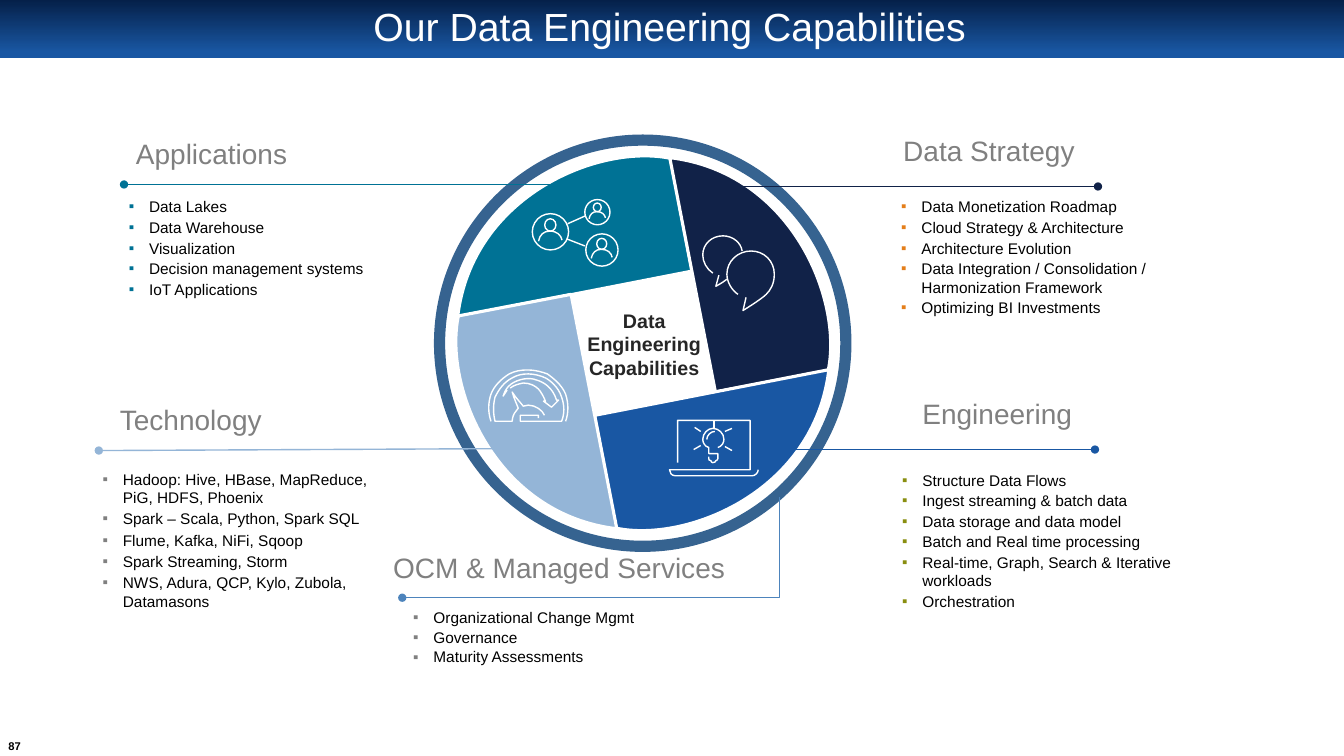
from lxml.etree import Element, SubElement
from pptx import Presentation
from pptx.dml.color import RGBColor
from pptx.enum.shapes import MSO_CONNECTOR, MSO_SHAPE
from pptx.enum.text import MSO_ANCHOR, PP_ALIGN
from pptx.oxml.ns import qn
from pptx.util import Inches, Pt

WHITE = RGBColor(0xFF, 0xFF, 0xFF)
BLACK = RGBColor(0x00, 0x00, 0x00)
CHARCOAL = RGBColor(0x26, 0x26, 0x26)
GREY = RGBColor(0x80, 0x80, 0x80)
MIDNIGHT = RGBColor(0x05, 0x20, 0x49)
NAVY = RGBColor(0x11, 0x22, 0x48)
BLUE = RGBColor(0x19, 0x57, 0xA3)
TEAL = RGBColor(0x00, 0x72, 0x95)
PALE_BLUE = RGBColor(0x94, 0xB5, 0xD7)
MID_BLUE = RGBColor(0x4D, 0x84, 0xBC)
RING_BLUE = RGBColor(0x36, 0x63, 0x90)
ORANGE = RGBColor(0xE4, 0x7E, 0x1A)
OLIVE = RGBColor(0x89, 0x8E, 0x10)

# Outlines in hundredths of an inch: a pair is a point, six numbers are a Bezier curve.
BUBBLES = [
    [(24, 43), (19, 47, 13, 50, 13, 50), (16, 39)],
    [(10, 37), (4, 33, 0, 26, 0, 19), (0, 8, 9, 0, 20, 0), (30, 0, 38, 7, 39, 15)],
    [(43, 61), (40, 74), (40, 74, 58, 63, 63, 58), (67, 54, 71, 48, 71, 38),
     (71, 25, 61, 15, 48, 15), (35, 15, 24, 25, 24, 38), (24, 46, 29, 54, 35, 58)],
]
LAPTOP = [
    [(88, 49), (88, 52, 85, 55, 82, 55), (6, 55), (2, 55, 0, 52, 0, 49), (80, 49),
     (80, 0), (8, 0), (8, 42)],
    [(48, 27), (52, 26, 54, 22, 54, 19), (54, 13, 49, 8, 43, 8), (38, 8, 33, 13, 33, 19),
     (33, 22, 35, 26, 39, 27), (39, 33), (48, 33), (48, 38), (48, 39, 47, 40, 46, 40),
     (46, 41, 45, 42, 43, 42), (42, 42, 41, 41, 41, 40), (39, 40, 39, 39, 39, 38), (39, 36)],
    [(37, 19), (37, 15, 41, 11, 45, 11)],
]
RAYS = [(44, 8, 44, 0), (31, 11, 25, 7), (31, 25, 24, 29), (55, 26, 62, 30), (55, 11, 62, 8)]
GAUGE = [
    [(56, 45), (54, 40, 47, 35, 40, 35), (38, 35, 37, 35, 35, 36), (31, 31, 27, 27, 24, 22),
     (26, 29, 29, 35, 30, 38), (29, 40, 28, 40, 27, 42), (26, 43, 24, 47, 24, 51), (7, 51),
     (5, 43, 5, 35, 7, 27), (11, 19, 16, 12, 24, 8), (29, 5, 34, 4, 40, 4),
     (46, 4, 53, 6, 57, 8), (61, 10, 70, 17, 73, 27), (76, 35, 76, 44, 73, 51),
     (32, 51), (32, 45), (50, 45), (50, 48)],
    [(19, 20), (15, 26), (17, 20, 19, 17, 23, 14), (30, 9, 41, 7, 48, 10),
     (55, 12, 64, 17, 68, 30), (70, 30), (63, 37), (55, 31), (57, 31),
     (55, 26, 52, 21, 50, 19), (47, 16, 42, 13, 35, 13), (30, 14, 26, 15, 22, 18)],
    [(3, 51), (0, 42, 0, 33, 3, 24), (6, 16, 13, 9, 21, 4), (27, 1, 32, 0, 40, 0),
     (46, 0, 54, 2, 59, 4), (63, 7, 73, 14, 77, 24), (80, 33, 80, 43, 77, 51)],
]
SHOULDERS = [(17, 76), (20, 59, 31, 48, 48, 48), (68, 48, 79, 59, 82, 73)]
PETAL = [(-123, -58), (42, 112), (124, 33), (98, -34, -14, -112, -123, -58)]

# Heading, heading corner, rule ends, list box, bullet colour, space before, items
PANELS = [
    ("Applications", (1.25, 1.31, 2.97), TEAL, [(1.23, 1.83), (5.83, 1.83)],
     (1.18, 1.91, 3.04, 1.14), TEAL, 1.5,
     ["Data Lakes", "Data Warehouse", "Visualization", "Decision management systems",
      "IoT Applications"]),
    ("Data Strategy", (8.86, 1.28, 1.91), NAVY, [(7.19, 1.85), (10.89, 1.85)],
     (8.84, 1.91, 3.1, 1.32), ORANGE, 1.5,
     ["Data Monetization Roadmap", "Cloud Strategy & Architecture", "Architecture Evolution",
      "Data Integration / Consolidation / Harmonization Framework",
      "Optimizing BI Investments"]),
    ("Technology", (1.09, 3.94, 1.62), PALE_BLUE, [(5.19, 4.45), (0.98, 4.47)],
     (0.92, 4.61, 2.9, 1.51), GREY, 2,
     ["Hadoop: Hive, HBase, MapReduce, PiG, HDFS, Phoenix", "Spark – Scala, Python, Spark SQL",
      "Flume, Kafka, NiFi, Sqoop", "Spark Streaming, Storm",
      "NWS, Adura, QCP, Kylo, Zubola, Datamasons"]),
    ("Engineering", (9.05, 3.88, 1.7), BLUE, [(10.86, 4.46), (7.68, 4.46)],
     (8.85, 4.62, 3.46, 2), OLIVE, 1.5,
     ["Structure Data Flows", "Ingest streaming & batch data", "Data storage and data model",
      "Batch and Real time processing", "Real-time, Graph, Search & Iterative workloads",
      "Orchestration"]),
    ("OCM & Managed Services", (3.8, 5.41, 3.52), MID_BLUE,
     [(7.73, 4.93), (7.73, 5.93), (3.99, 5.93)],
     (4, 5.98, 2.71, 0.68), GREY, 1,
     ["Organizational Change Mgmt", "Governance", "Maturity Assessments"]),
]


def add_text(page, lines, left, top, width, height, size=11, color=BLACK, bold=False,
             align=PP_ALIGN.LEFT, anchor=MSO_ANCHOR.TOP, wrap=True, inset=True,
             bullet=None, before=0, spacing=None):
    box = page.shapes.add_textbox(Inches(left), Inches(top), Inches(width), Inches(height))
    frame = box.text_frame
    frame.word_wrap = wrap
    frame.vertical_anchor = anchor
    if not inset:
        frame.margin_left = frame.margin_right = frame.margin_top = frame.margin_bottom = 0
    for index, line in enumerate(lines):
        para = frame.paragraphs[0] if index == 0 else frame.add_paragraph()
        para.alignment = align
        if spacing:
            para.line_spacing = spacing
        if index and before:
            para.space_before = Pt(before)
        if bullet is not None:
            props = para._p.get_or_add_pPr()
            props.set("marL", str(Inches(0.2)))
            props.set("indent", str(Inches(-0.2)))
            SubElement(SubElement(props, qn("a:buClr")), qn("a:srgbClr"), val=str(bullet))
            SubElement(props, qn("a:buFont"), typeface="Arial")
            SubElement(props, qn("a:buChar"), char="▪")
        span = para.add_run()
        span.text = line
        span.font.name = "Arial"
        span.font.size = Pt(size)
        span.font.bold = bold
        span.font.color.rgb = color


def style(shape, line, weight, fill=None):
    shape.shadow.inherit = False
    if fill is None:
        shape.fill.background()
    else:
        shape.fill.solid()
        shape.fill.fore_color.rgb = fill
    shape.line.color.rgb = line
    shape.line.width = Pt(weight)


def add_outline(page, stroke, left, top, scale=0.01, line=WHITE, weight=1, fill=None):
    """Draw a stroke as straight segments, then join each curve's three points into a Bezier."""
    first, *rest = [(Inches(left + part[i] * scale), Inches(top + part[i + 1] * scale))
                    for part in stroke for i in range(0, len(part), 2)]
    builder = page.shapes.build_freeform(*first, scale=1.0)
    builder.add_line_segments(rest, close=fill is not None)
    shape = builder.convert_to_shape()
    segments = iter(list(shape.element.iter(qn("a:lnTo"))))
    for part in stroke[1:]:
        nodes = [next(segments) for _ in range(len(part) // 2)]
        if len(nodes) == 3:
            curve = Element(qn("a:cubicBezTo"))
            nodes[0].addprevious(curve)
            for node in nodes:
                curve.append(node[0])
                node.getparent().remove(node)
    style(shape, line, weight, fill)
    return shape


def add_line(page, x1, y1, x2, y2, color=WHITE):
    line = page.shapes.add_connector(MSO_CONNECTOR.STRAIGHT, Inches(x1), Inches(y1),
                                     Inches(x2), Inches(y2))
    line.line.color.rgb = color
    line.line.width = Pt(1)
    SubElement(line.element.spPr, qn("a:effectLst"))
    return line


def add_ellipse(page, left, top, width, height, line=WHITE, weight=1):
    shape = page.shapes.add_shape(MSO_SHAPE.OVAL, Inches(left), Inches(top),
                                  Inches(width), Inches(height))
    style(shape, line, weight)


def add_rule(page, points, color):
    """Draw a dotted-end leader; one with a bend gets a dot only at its far end."""
    if len(points) == 2:
        rule = add_line(page, *points[0], *points[1], color=color)
        ends = ("a:headEnd", "a:tailEnd")
    else:
        rule = add_outline(page, points, 0, 0, scale=1, line=color)
        ends = ("a:tailEnd",)
    for end in ends:
        SubElement(rule.element.spPr.find(qn("a:ln")), qn(end), type="oval")


def add_people_icon(page, left, top):
    for x, y, size in ((0.52, 0, 0.25), (0.53, 0.34, 0.32), (0, 0.14, 0.36)):
        x, y = left + x, top + y
        add_ellipse(page, x, y, size, size)
        add_ellipse(page, x + 0.34 * size, y + 0.14 * size, 0.31 * size, 0.34 * size)
        add_outline(page, SHOULDERS, x, y, scale=size / 100)
    add_line(page, left + 0.52, top + 0.46, left + 0.34, top + 0.39)
    add_line(page, left + 0.53, top + 0.16, left + 0.35, top + 0.24)


def add_icon(page, strokes, left, top, rays=()):
    for stroke in strokes:
        add_outline(page, stroke, left, top)
    for x1, y1, x2, y2 in rays:
        add_line(page, left + x1 / 100, top + y1 / 100, left + x2 / 100, top + y2 / 100)


def add_wheel(page, left, top, size):
    center_x, center_y = left + size / 2, top + size / 2
    x, y = -0.68, -0.98
    for turn, color in enumerate((TEAL, NAVY, BLUE, PALE_BLUE)):
        petal = add_outline(page, PETAL, center_x + x, center_y + y, weight=2.25, fill=color)
        petal.rotation = (303.1 + 90 * turn) % 360
        x, y = -y, x
    add_icon(page, BUBBLES, left + 2.61, top + 0.95)
    add_people_icon(page, left + 0.92, top + 0.59)
    add_text(page, ["Data Engineering", "Capabilities"], left + 1.26, top + 1.73, 1.54, 0.58,
             size=14, color=CHARCOAL, bold=True, align=PP_ALIGN.CENTER, anchor=MSO_ANCHOR.MIDDLE)
    add_icon(page, LAPTOP, left + 2.28, top + 2.78, rays=RAYS)
    add_icon(page, GAUGE, left + 0.48, top + 2.28)
    add_ellipse(page, left, top, size, size, line=RING_BLUE, weight=8)


def add_panel(page, heading, corner, color, rule, list_box, bullet, before, items):
    add_rule(page, rule, color)
    add_text(page, [heading], *corner, 0.44, size=20, color=GREY, wrap=False)
    add_text(page, items, *list_box, bullet=bullet, before=before)


def add_title_band(page, width, height):
    band = page.shapes.add_shape(MSO_SHAPE.RECTANGLE, 0, 0, Inches(width), Inches(height))
    band.shadow.inherit = False
    band.line.fill.background()
    band.fill.gradient()
    band.fill.gradient_angle = 270
    for stop, color, position in zip(band.fill.gradient_stops, (MIDNIGHT, BLUE), (0, 0.9)):
        stop.color.rgb = color
        stop.position = position
    add_text(page, ["Our Data Engineering Capabilities"], 0.66, 0.06, 11.96, 0.45, size=28,
             color=WHITE, align=PP_ALIGN.CENTER, anchor=MSO_ANCHOR.MIDDLE, spacing=0.9)


def main():
    deck = Presentation()
    deck.slide_width, deck.slide_height = Inches(13.33), Inches(7.5)
    page = deck.slides.add_slide(deck.slide_layouts[6])
    add_title_band(page, 13.33, 0.58)
    add_text(page, ["87"], 0.02, 7.31, 0.25, 0.19, size=8, bold=True, align=PP_ALIGN.CENTER,
             anchor=MSO_ANCHOR.MIDDLE, wrap=False, inset=False)
    add_wheel(page, 4.36, 1.39, 4.03)
    for panel in PANELS:
        add_panel(page, *panel)
    deck.save("out.pptx")


if __name__ == "__main__":
    main()
